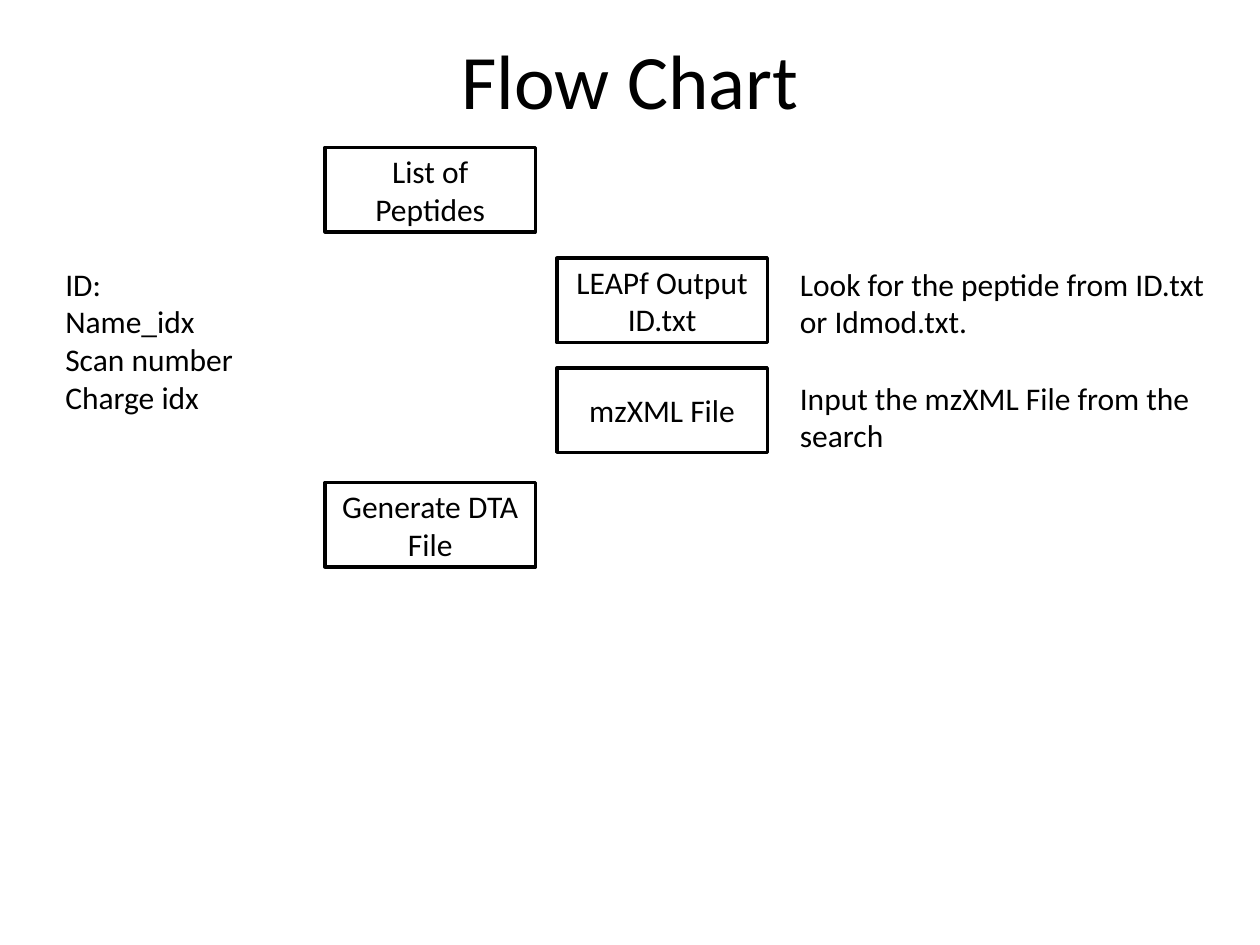
from dataclasses import dataclass

from pptx import Presentation
from pptx.dml.color import RGBColor
from pptx.enum import shapes, text
from pptx.util import Inches, Pt

COLORS = {"ink": "000000", "paper": "FFFFFF"}
FONT = "Calibri"
BODY_SIZE = 18
BLANK_LINE = 22
BOX_W, BOX_H = 1.67, 0.67
STEP_X, INPUT_X = 2.58, 4.42
INPUT_Y = 2.05


@dataclass
class Box:
    label: str
    left: float
    top: float


@dataclass
class Note:
    lines: list[str]
    left: float
    top: float
    width: float
    height: float
    gap: float = 0


BOXES = [
    Box("List of Peptides", STEP_X, 1.17),
    Box("Generate DTA File", STEP_X, 3.83),
    Box("mzXML File", INPUT_X, 2.92),
    Box("LEAPf Output ID.txt", INPUT_X, INPUT_Y),
]
NOTES = [
    Note(["Look for the peptide from ID.txt or Idmod.txt.",
          "Input the mzXML File from the search"],
         6.25, INPUT_Y, 3.67, 1.62, BLANK_LINE),
    Note(["ID:", "Name_idx", "Scan number", "Charge idx"],
         0.42, INPUT_Y, 2.5, 1.31),
]


def color(name: str) -> RGBColor:
    return RGBColor.from_string(COLORS[name])


def add_run(p, content: str, size: float = BODY_SIZE) -> None:
    r = p.add_run()
    r.text = content
    r.font.name = FONT
    r.font.size = Pt(size)
    r.font.color.rgb = color("ink")


def add_title(s, content: str) -> None:
    sp = s.shapes.title
    sp.left, sp.top = Inches(0.5), Inches(0)
    sp.width, sp.height = Inches(9), Inches(1.25)
    tf = sp.text_frame
    tf.vertical_anchor = text.MSO_ANCHOR.MIDDLE
    p = tf.paragraphs[0]
    p.alignment = text.PP_ALIGN.CENTER
    add_run(p, content, 44)


def add_box(s, box: Box) -> None:
    sp = s.shapes.add_shape(shapes.MSO_SHAPE.RECTANGLE, Inches(box.left),
                            Inches(box.top), Inches(BOX_W), Inches(BOX_H))
    sp.shadow.inherit = False
    sp.fill.background()
    sp.line.color.rgb = color("ink")
    sp.line.width = Pt(2)
    tf = sp.text_frame
    tf.word_wrap = True
    tf.vertical_anchor = text.MSO_ANCHOR.MIDDLE
    p = tf.paragraphs[0]
    p.alignment = text.PP_ALIGN.CENTER
    add_run(p, box.label)


def add_note(s, note: Note) -> None:
    sp = s.shapes.add_textbox(Inches(note.left), Inches(note.top),
                              Inches(note.width), Inches(note.height))
    tf = sp.text_frame
    tf.word_wrap = True
    tf.auto_size = text.MSO_AUTO_SIZE.SHAPE_TO_FIT_TEXT
    for i, line in enumerate(note.lines):
        p = tf.add_paragraph() if i else tf.paragraphs[0]
        if i and note.gap:
            p.space_before = Pt(note.gap)
        add_run(p, line)


def main() -> None:
    prs = Presentation()
    prs.slide_width, prs.slide_height = Inches(10), Inches(7.5)
    s = prs.slides.add_slide(prs.slide_layouts[5])
    s.background.fill.solid()
    s.background.fill.fore_color.rgb = color("paper")
    add_title(s, "Flow Chart")
    for box in BOXES:
        add_box(s, box)
    for note in NOTES:
        add_note(s, note)
    prs.save("out.pptx")


main()
